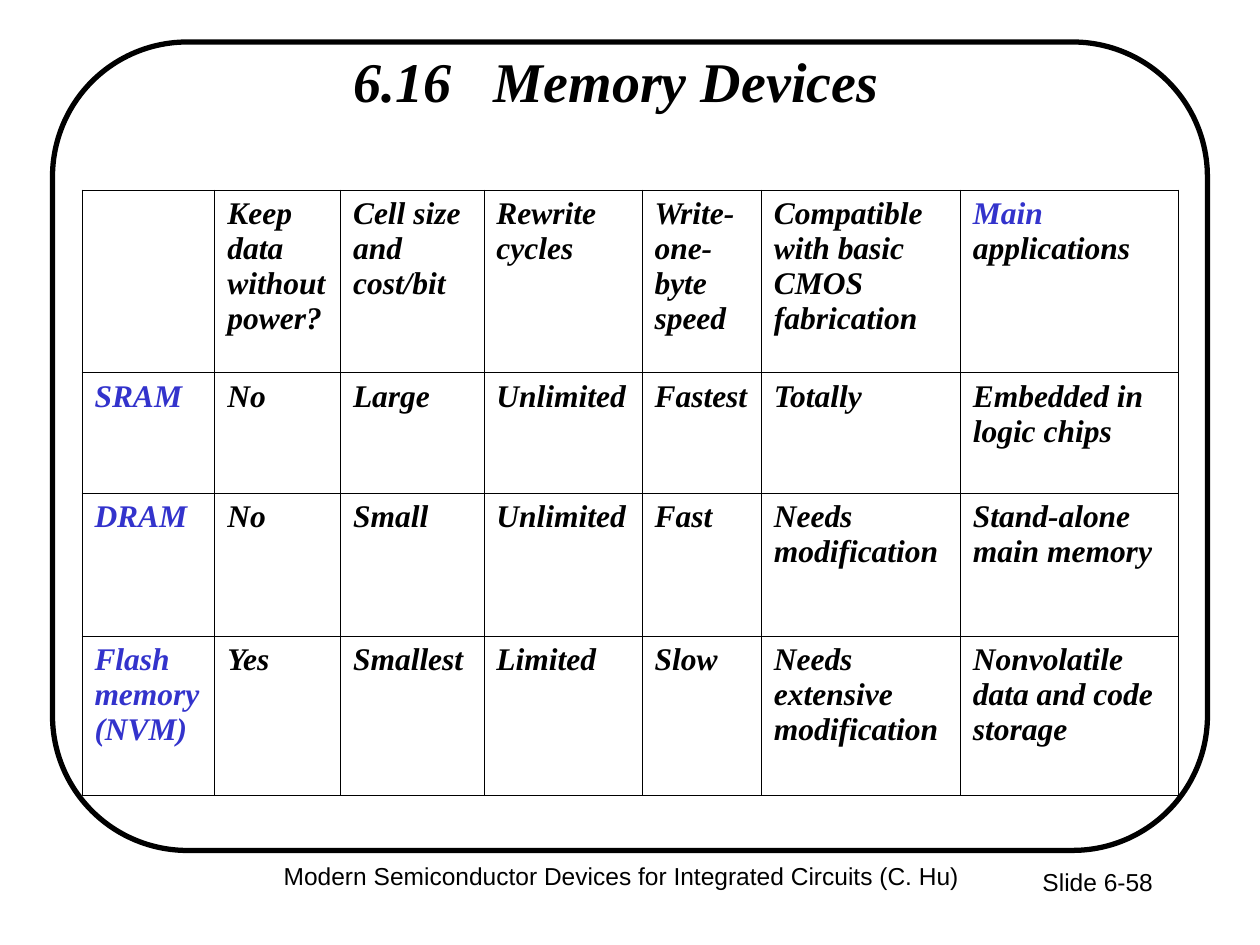
import pptx
import pptx.dml.color
import pptx.enum.shapes
import pptx.enum.text
import pptx.oxml.ns
import pptx.util
import lxml.etree

COLORS = {"ink": "000000", "accent": "3333CC", "paper": "FFFFFF"}
SERIF, SANS = "Times New Roman", "Arial"
ALIGN = pptx.enum.text.PP_ALIGN
ANCHOR = pptx.enum.text.MSO_ANCHOR

GRID_COLS, GRID_ROWS = 120, 90
UNIT = pptx.util.Inches(10) // GRID_COLS

COL_SHARES = [12.7, 12, 13.7, 15.1, 11.4, 19, 20.8]
ROW_SHARES = [17.4, 11.5, 13.6, 15.2]
MEMORY_ROWS = [
    ["", "Keep data without power?", "Cell size\nand\ncost/bit", "Rewrite cycles",
     "Write-one-byte speed", "Compatible with basic CMOS fabrication",
     "Main\napplications"],
    ["SRAM", "No", "Large", "Unlimited", "Fastest", "Totally",
     "Embedded in logic chips"],
    ["DRAM", "No", "Small", "Unlimited", "Fast", "Needs modification",
     "Stand-alone main memory"],
    ["Flash memory (NVM)", "Yes", "Smallest", "Limited", "Slow",
     "Needs extensive modification", "Nonvolatile data and code storage"],
]


def rgb(name):
    return pptx.dml.color.RGBColor.from_string(COLORS[name])


def place(box):
    return [round(v * UNIT) for v in box]


def add_run(p, text, size, font, color="ink", strong=False):
    r = p.add_run()
    r.text = text
    r.font.size = pptx.util.Pt(size)
    r.font.name = font
    r.font.bold = r.font.italic = strong
    r.font.color.rgb = rgb(color)


def add_label(s, box, text, size, font, align, anchor=ANCHOR.TOP, strong=False):
    tf = s.shapes.add_textbox(*place(box)).text_frame
    tf.word_wrap = True
    tf.vertical_anchor = anchor
    p = tf.paragraphs[0]
    p.alignment = align
    add_run(p, text, size, font, strong=strong)


def add_frame(s, box):
    kind = pptx.enum.shapes.MSO_SHAPE.FLOWCHART_ALTERNATE_PROCESS
    sp = s.shapes.add_shape(kind, *place(box))
    sp.shadow.inherit = False
    sp.fill.background()
    sp.line.color.rgb = rgb("ink")
    sp.line.width = pptx.util.Pt(3)


def add_borders(cell):
    tc_pr = cell._tc.get_or_add_tcPr()
    qn = pptx.oxml.ns.qn
    for i, side in enumerate(["a:lnL", "a:lnR", "a:lnT", "a:lnB"]):
        ln = lxml.etree.Element(qn(side), w=str(pptx.util.Pt(0.45)))
        fill = lxml.etree.SubElement(ln, qn("a:solidFill"))
        lxml.etree.SubElement(fill, qn("a:srgbClr"), val=COLORS["ink"])
        tc_pr.insert(i, ln)


def fill_cell(cell, text, row, col):
    cell.fill.background()
    add_borders(cell)
    for i, line in enumerate(text.split("\n")):
        tf = cell.text_frame
        p = tf.add_paragraph() if i else tf.paragraphs[0]
        color = "accent" if col == 0 or line == "Main" else "ink"
        if line:
            add_run(p, line, 18, SERIF, color, strong=True)


def add_memory_table(s, box):
    x, y, w, h = place(box)
    table = s.shapes.add_table(len(ROW_SHARES), len(COL_SHARES), x, y, w, h).table
    table.first_row = table.horz_banding = False
    for column, share in zip(table.columns, COL_SHARES):
        column.width = round(w * share / sum(COL_SHARES))
    for row, share in zip(table.rows, ROW_SHARES):
        row.height = round(h * share / sum(ROW_SHARES))
    for i, texts in enumerate(MEMORY_ROWS):
        for j, text in enumerate(texts):
            fill_cell(table.cell(i, j), text, i, j)


def add_footer(s, box):
    x, y, w, h = box
    add_label(s, (x + 60.2, y + 0.6, 25, 6), "Slide 6-58", 14, SANS, ALIGN.RIGHT)
    add_label(s, (x, y, 66.8, h),
              "Modern Semiconductor Devices for Integrated Circuits (C. Hu)",
              14, SANS, ALIGN.CENTER)


def main():
    prs = pptx.Presentation()
    prs.slide_width = GRID_COLS * UNIT
    prs.slide_height = GRID_ROWS * UNIT
    s = prs.slides.add_slide(prs.slide_layouts[6])
    s.background.fill.solid()
    s.background.fill.fore_color.rgb = rgb("paper")
    add_frame(s, (5, 4, 110, 77))
    add_label(s, (7.7, 4.6, 102, 6.1), "6.16   Memory Devices", 32, SERIF,
              ALIGN.CENTER, ANCHOR.MIDDLE, strong=True)
    add_memory_table(s, (7.8, 18.1, 104.4, 57.7))
    add_footer(s, (25.8, 81.4, 85.2, 6.5))
    prs.save("out.pptx")


if __name__ == "__main__":
    main()
